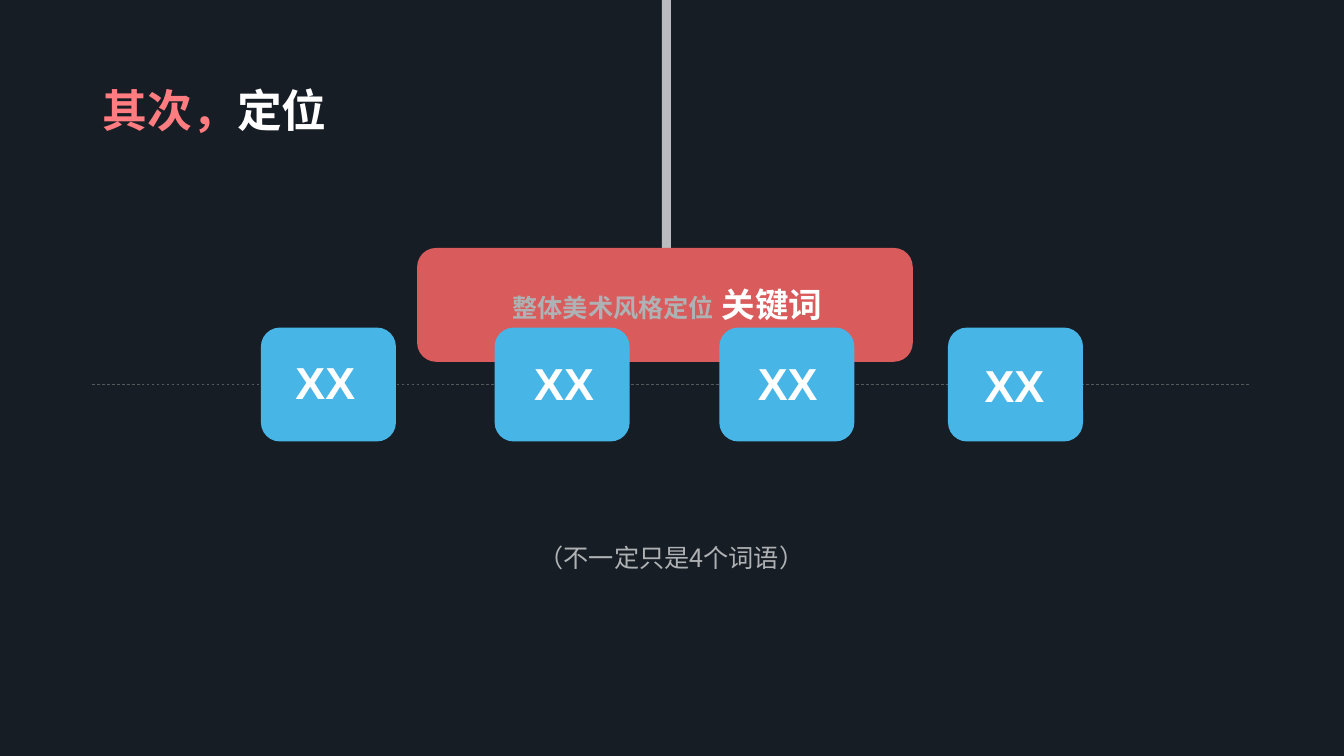
from lxml import etree
from pptx import Presentation
from pptx.dml.color import RGBColor
from pptx.enum.dml import MSO_LINE
from pptx.enum.shapes import MSO_CONNECTOR, MSO_SHAPE
from pptx.enum.text import MSO_ANCHOR, PP_ALIGN
from pptx.oxml.ns import qn
from pptx.util import Inches, Pt

RECT, ROUNDED = MSO_SHAPE.RECTANGLE, MSO_SHAPE.ROUNDED_RECTANGLE
STRAIGHT, DASH = MSO_CONNECTOR.STRAIGHT, MSO_LINE.DASH
TOP, MIDDLE = MSO_ANCHOR.TOP, MSO_ANCHOR.MIDDLE
LEFT, CENTER = PP_ALIGN.LEFT, PP_ALIGN.CENTER

COLORS = {
    "night": "171D25",
    "coral": "FF7C80",
    "red": "D95B5B",
    "blue": "47B6E7",
    "white": "FFFFFF",
    "grey": "AFB2B4",
    "rule": "55595B",
}
CJK, LATIN = "Noto Sans CJK SC", "Arial"


def rgb(name):
    return RGBColor.from_string(COLORS[name])


def add_run(p, text, size=18, color="white", bold=False, font=CJK):
    r = p.add_run()
    r.text = text
    r.font.size = Pt(size)
    r.font.bold = bold
    r.font.name = font
    r.font.color.rgb = rgb(color)
    ea = etree.SubElement(r._r.get_or_add_rPr(), qn("a:ea"))
    ea.set("typeface", font)


class SlideBuilder:
    def __init__(self, prs):
        self.s = prs.slides.add_slide(prs.slide_layouts[6])
        self.s.background.fill.solid()
        self.s.background.fill.fore_color.rgb = rgb("night")

    def block(self, x, y, w, h, color, kind=ROUNDED, opacity=None):
        sp = self.s.shapes.add_shape(kind, Inches(x), Inches(y), Inches(w), Inches(h))
        sp.shadow.inherit = False
        sp.fill.solid()
        sp.fill.fore_color.rgb = rgb(color)
        sp.line.fill.background()
        if opacity is not None:
            clr = sp._element.spPr.find(qn("a:solidFill"))[0]
            etree.SubElement(clr, qn("a:alpha")).set("val", str(opacity * 1000))

    def rule(self, x1, x2, y):
        c = self.s.shapes.add_connector(STRAIGHT, Inches(x1), Inches(y), Inches(x2), Inches(y))
        c.line.color.rgb = rgb("rule")
        c.line.width = Pt(0.5)
        c.line.dash_style = DASH
        etree.SubElement(c._element.spPr, qn("a:effectLst"))

    def text(self, x, y, w, h, *runs, align=CENTER, anchor=TOP, spacing=1.0, before=0):
        tf = self.s.shapes.add_textbox(Inches(x), Inches(y), Inches(w), Inches(h)).text_frame
        tf.word_wrap = True
        tf.vertical_anchor = anchor
        p = tf.paragraphs[0]
        p.alignment = align
        p.line_spacing = spacing
        p.space_before = Pt(before)
        for text, style in runs:
            add_run(p, text, **style)


def main():
    prs = Presentation()
    prs.slide_width, prs.slide_height = Inches(13.34), Inches(7.5)
    b = SlideBuilder(prs)

    title = dict(size=32, bold=True)
    b.text(0.92, 0.4, 11.5, 1.45, ("其次，", dict(title, color="coral")), ("定位", title),
           align=LEFT, anchor=MIDDLE, spacing=0.9)

    b.block(6.57, 0, 0.09, 2.46, "white", kind=RECT, opacity=70)
    b.block(4.14, 2.46, 4.92, 1.13, "red")
    keyword = dict(size=24, bold=True)
    b.text(4.51, 2.73, 4.23, 0.47,
           ("整体美术风格定位", dict(color="grey", bold=True)), (" ", keyword), ("关键词", keyword),
           spacing=1.1, before=12)

    b.rule(0.91, 12.41, 3.81)
    cards = [(2.59, 2.65, 3.47), (4.91, 5.02, 3.48), (7.14, 7.24, 3.48), (9.41, 9.49, 3.5)]
    for card_x, label_x, label_y in cards:
        b.block(card_x, 3.25, 1.34, 1.13, "blue")
        b.text(label_x, label_y, 1.16, 0.64, ("XX", dict(size=32, bold=True, font=LATIN)))

    b.text(4.6, 5.33, 4.13, 0.4, ("（不一定只是4个词语）", dict(color="grey")))
    prs.save("out.pptx")


if __name__ == "__main__":
    main()
